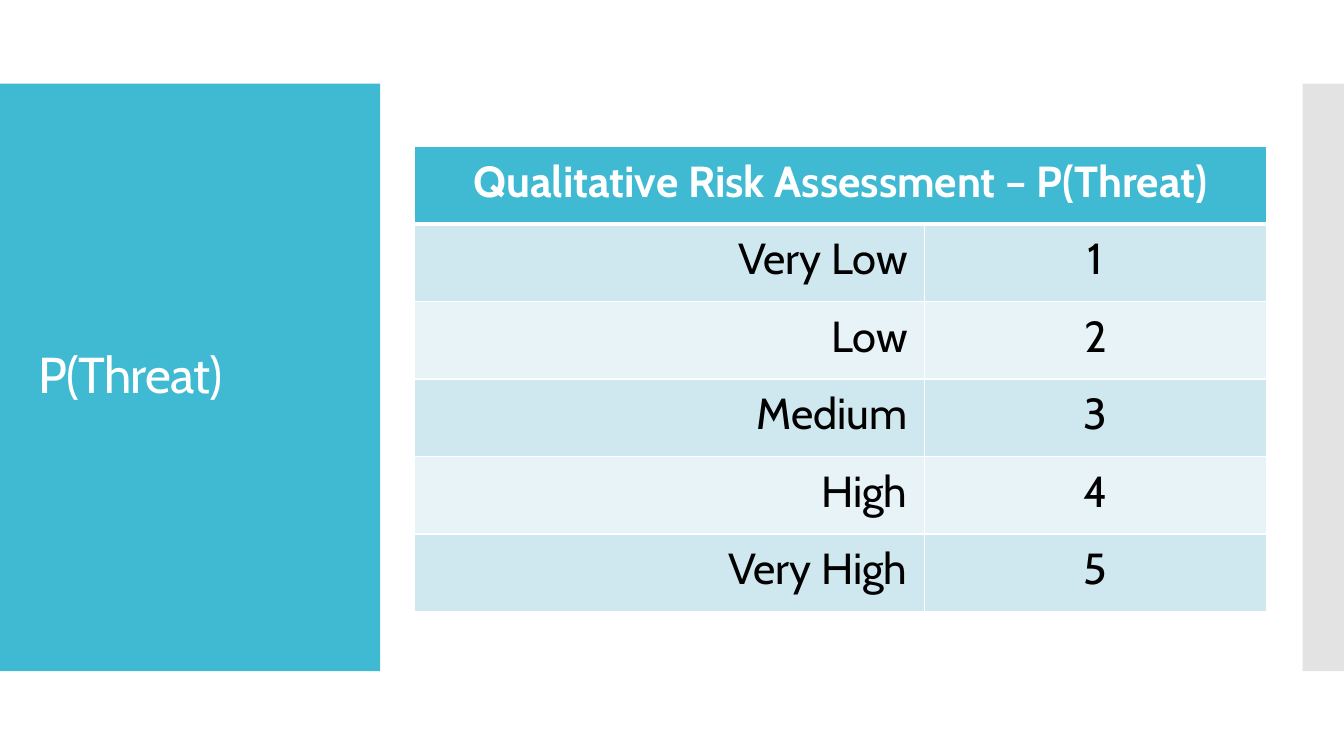
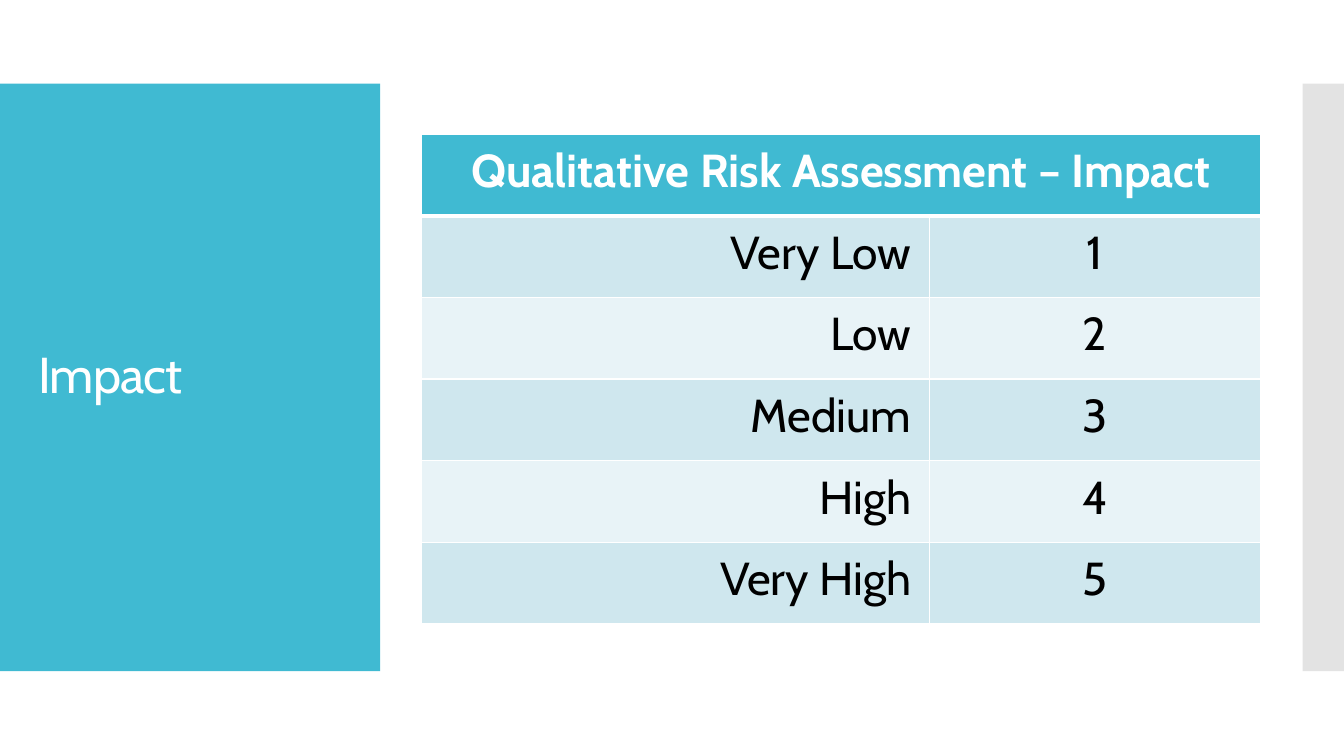
from dataclasses import dataclass

import lxml.etree
import pptx
import pptx.dml.color
import pptx.enum.shapes
import pptx.enum.text
import pptx.oxml.ns
import pptx.presentation
import pptx.shapes.autoshape
import pptx.slide
import pptx.table
import pptx.util

Inches = pptx.util.Inches
Pt = pptx.util.Pt
RGBColor = pptx.dml.color.RGBColor
Align = pptx.enum.text.PP_ALIGN
qn = pptx.oxml.ns.qn


@dataclass(frozen=True)
class Theme:
    font: str = "Cabin"
    accent: str = "40BAD2"
    side: str = "C8C8C8"
    side_opacity: int = 50
    white: str = "FFFFFF"
    black: str = "000000"
    row_fills: tuple[str, str] = ("CFE7EE", "E8F3F7")
    title_size: int = 36
    title_tracking: int = -60
    grid_width: float = 1
    header_rule_width: float = 3


@dataclass(frozen=True)
class Band:
    left: float
    width: float
    color: str
    opacity: int = 100


@dataclass(frozen=True)
class Scale:
    title: str
    left: float
    top: float
    columns: tuple[float, float]
    row_height: float
    side_margin: float
    text_size: int


THEME = Theme()
BAND_TOP, BAND_HEIGHT = 0.83, 5.83
BANDS = (
    Band(0, 3.77, THEME.accent),
    Band(12.92, 0.42, THEME.side, THEME.side_opacity),
)
LEVELS = ("Very Low", "Low", "Medium", "High", "Very High")
SCALES = (
    Scale("P(Threat)", 4.11, 1.45, (5.06, 3.39), 0.77, 0.17, 31),
    Scale("Impact", 4.18, 1.33, (5.04, 3.28), 0.81, 0.18, 33),
)


def rgb(color: str) -> RGBColor:
    return RGBColor.from_string(color)


def style_runs(paragraph, size: int, color: str, bold: bool = False) -> None:
    for run in paragraph.runs:
        run.font.name = THEME.font
        run.font.size = Pt(size)
        run.font.bold = bold
        run.font.color.rgb = rgb(color)


def add_band(slide: pptx.slide.Slide, band: Band) -> pptx.shapes.autoshape.Shape:
    bar = slide.shapes.add_shape(
        pptx.enum.shapes.MSO_SHAPE.RECTANGLE,
        Inches(band.left), Inches(BAND_TOP), Inches(band.width), Inches(BAND_HEIGHT),
    )
    bar.shadow.inherit = False
    bar.fill.solid()
    bar.fill.fore_color.rgb = rgb(band.color)
    bar.line.fill.background()
    if band.opacity < 100:
        tint = bar._element.spPr.find(".//" + qn("a:srgbClr"))
        lxml.etree.SubElement(tint, qn("a:alpha"), val=str(band.opacity * 1000))
    return bar


def move_bands_to_layout(slide: pptx.slide.Slide) -> None:
    layout = slide.slide_layout
    for placeholder in list(layout.placeholders):
        if placeholder.placeholder_format.type != pptx.enum.shapes.PP_PLACEHOLDER.TITLE:
            placeholder._element.getparent().remove(placeholder._element)
    for offset, band in enumerate(BANDS):
        layout.shapes._spTree.insert(2 + offset, add_band(slide, band)._element)


def set_title(slide: pptx.slide.Slide, wording: str) -> None:
    title = slide.shapes.title
    title.left, title.top = Inches(0.28), Inches(1.23)
    title.width, title.height = Inches(3.22), Inches(5.03)
    frame = title.text_frame
    frame.text = wording
    frame.word_wrap = True
    frame.auto_size = pptx.enum.text.MSO_AUTO_SIZE.NONE
    frame.vertical_anchor = pptx.enum.text.MSO_ANCHOR.MIDDLE
    paragraph = frame.paragraphs[0]
    paragraph.alignment = Align.LEFT
    paragraph.line_spacing = 0.9
    style_runs(paragraph, THEME.title_size, THEME.white)
    for run in paragraph.runs:
        run._r.get_or_add_rPr().set("spc", str(THEME.title_tracking))


def set_borders(cell: pptx.table._Cell, top: float, bottom: float) -> None:
    widths = {"L": THEME.grid_width, "R": THEME.grid_width, "T": top, "B": bottom}
    properties = cell._tc.get_or_add_tcPr()
    for side, width in widths.items():
        border = lxml.etree.SubElement(properties, qn(f"a:ln{side}"), w=str(int(Pt(width))))
        fill = lxml.etree.SubElement(border, qn("a:solidFill"))
        lxml.etree.SubElement(fill, qn("a:srgbClr"), val=THEME.white)


def style_cell(cell: pptx.table._Cell, scale: Scale, row: int, column: int) -> None:
    is_header = row == 0
    set_borders(
        cell,
        top=THEME.header_rule_width if row == 1 else THEME.grid_width,
        bottom=THEME.header_rule_width if is_header else THEME.grid_width,
    )
    cell.fill.solid()
    cell.fill.fore_color.rgb = rgb(THEME.accent if is_header else THEME.row_fills[(row - 1) % 2])
    cell.margin_left = cell.margin_right = Inches(scale.side_margin)
    cell.margin_top = cell.margin_bottom = Inches(0.09)
    paragraph = cell.text_frame.paragraphs[0]
    paragraph.alignment = Align.CENTER if is_header or column == 1 else Align.RIGHT
    style_runs(paragraph, scale.text_size, THEME.white if is_header else THEME.black, is_header)


def add_scale_table(slide: pptx.slide.Slide, scale: Scale) -> None:
    row_count = len(LEVELS) + 1
    ratings = slide.shapes.add_table(
        row_count, len(scale.columns), Inches(scale.left), Inches(scale.top),
        Inches(sum(scale.columns)), Inches(scale.row_height * row_count),
    ).table
    ratings.horz_banding = False
    for column, width in zip(ratings.columns, scale.columns):
        column.width = Inches(width)
    for row in ratings.rows:
        row.height = Inches(scale.row_height)

    ratings.cell(0, 0).merge(ratings.cell(0, 1))
    ratings.cell(0, 0).text_frame.text = f"Qualitative Risk Assessment – {scale.title}"
    for score, level in enumerate(LEVELS, start=1):
        ratings.cell(score, 0).text_frame.text = level
        ratings.cell(score, 1).text_frame.text = str(score)
    for row in range(row_count):
        for column in range(len(scale.columns)):
            style_cell(ratings.cell(row, column), scale, row, column)


def add_scale_slide(deck: pptx.presentation.Presentation, scale: Scale) -> pptx.slide.Slide:
    slide = deck.slides.add_slide(deck.slide_layouts.get_by_name("Title Only"))
    set_title(slide, scale.title)
    add_scale_table(slide, scale)
    return slide


def main() -> None:
    deck = pptx.Presentation()
    deck.slide_width, deck.slide_height = Inches(13.33), Inches(7.5)
    slides = [add_scale_slide(deck, scale) for scale in SCALES]
    move_bands_to_layout(slides[0])
    deck.save("out.pptx")


if __name__ == "__main__":
    main()
